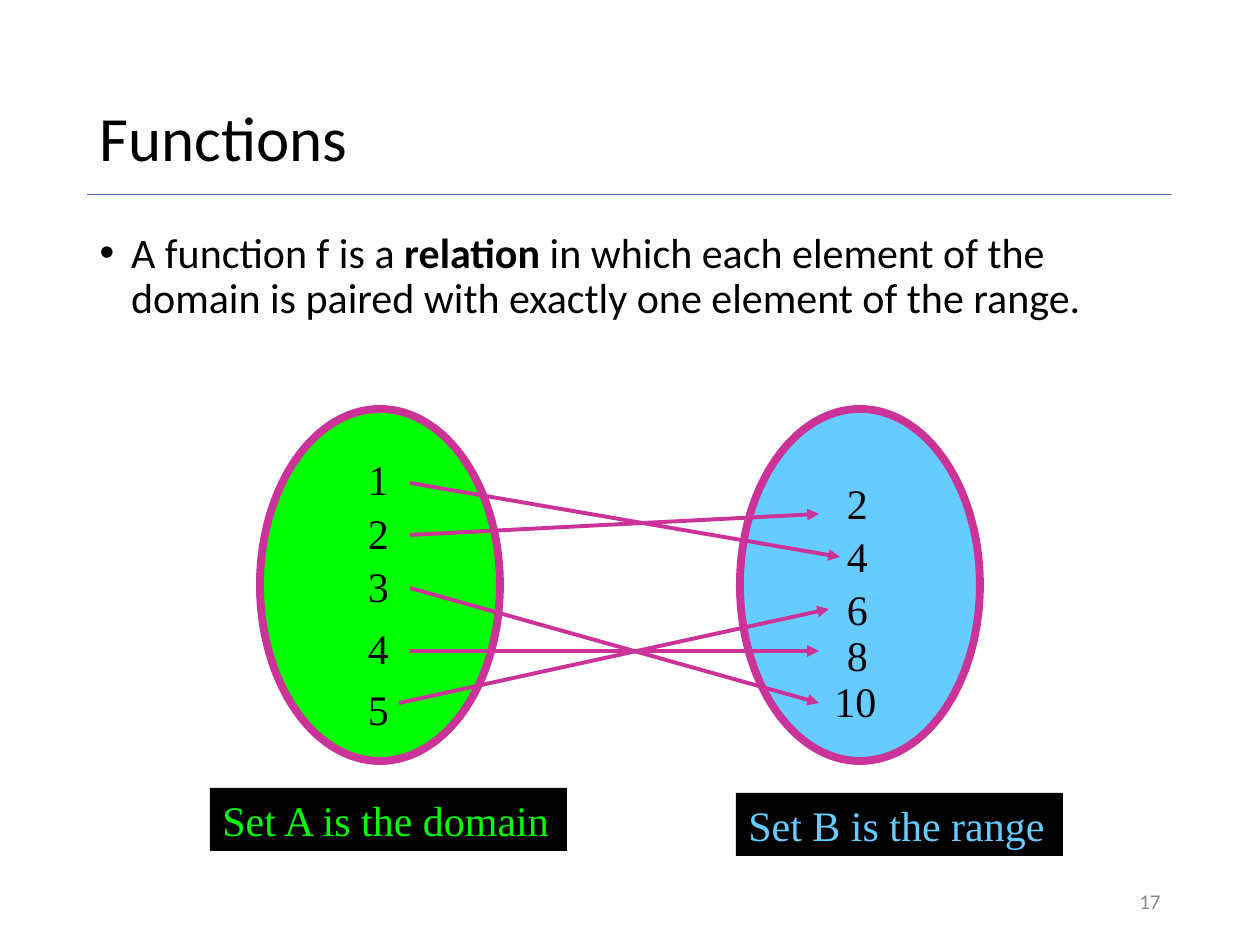
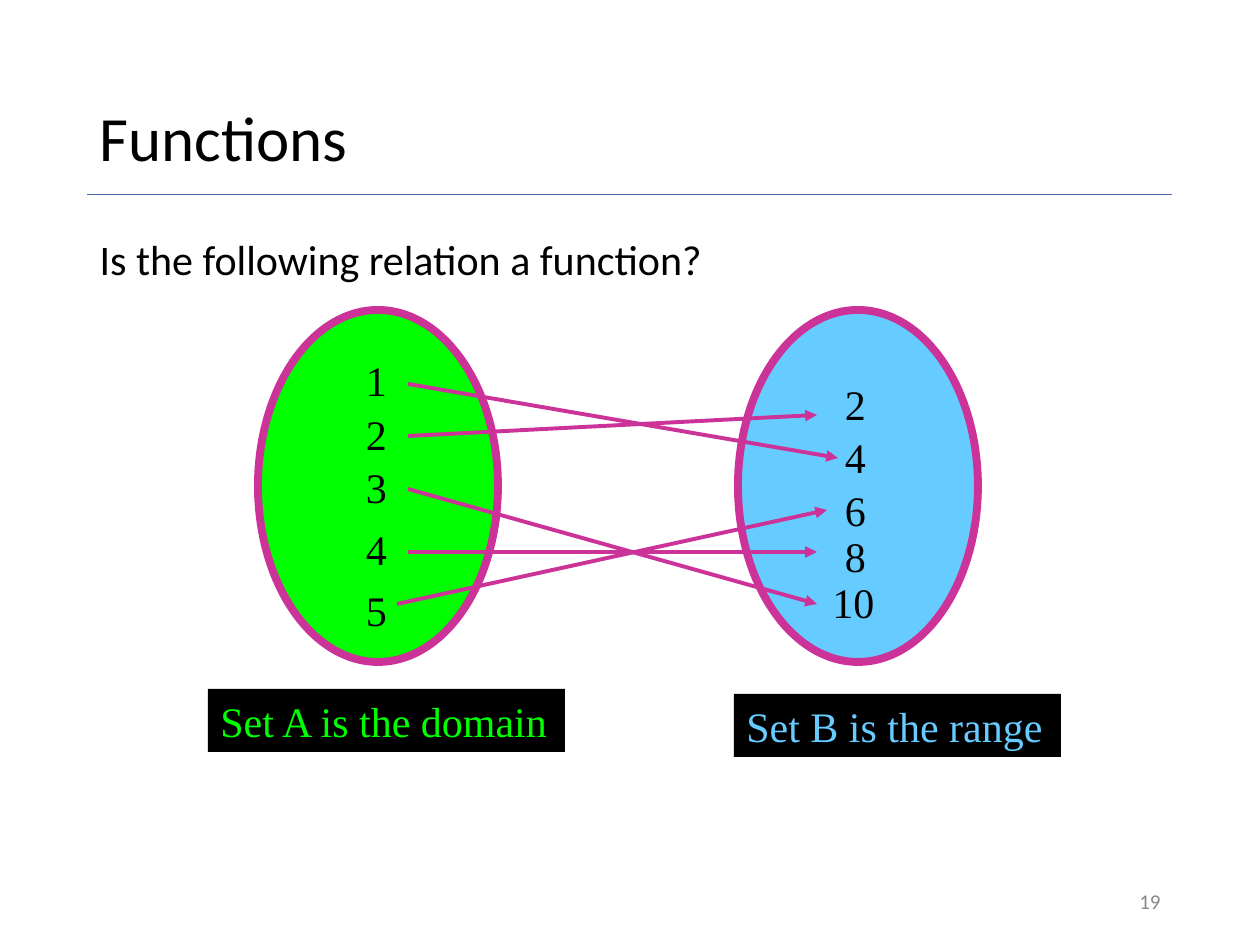
import pptx
import pptx.dml.color
import pptx.enum.shapes
import pptx.enum.text
import pptx.oxml.ns
import pptx.util
from lxml import etree

RGBColor = pptx.dml.color.RGBColor
SHAPE = pptx.enum.shapes.MSO_SHAPE
STRAIGHT = pptx.enum.shapes.MSO_CONNECTOR.STRAIGHT
ALIGN = pptx.enum.text.PP_ALIGN
ANCHOR = pptx.enum.text.MSO_ANCHOR
AUTO_SIZE = pptx.enum.text.MSO_AUTO_SIZE
Pt = pptx.util.Pt
qn = pptx.oxml.ns.qn

BLACK = RGBColor(0x00, 0x00, 0x00)
GREY = RGBColor(0x89, 0x89, 0x89)
RULE_BLUE = RGBColor(0x4A, 0x66, 0xAC)
GREEN = RGBColor(0x00, 0xFF, 0x00)
SKY = RGBColor(0x66, 0xCC, 0xFF)
MAGENTA = RGBColor(0xCC, 0x33, 0x99)

SANS = "Calibri"
SERIF = "Times New Roman"
PX_PER_INCH = 126
INDENT = Pt(18)

SLIDES = [
    {
        "title": "Functions",
        "body": [
            ("A function f is a ", False),
            ("relation", True),
            (" in which each element of the domain is paired with "
             "exactly one element of the range.", False),
        ],
        "bullet": True,
        "body_top": 226,
        "diagram_at": (210, 409),
        "number": "17",
    },
    {
        "title": "Functions",
        "body": [("Is the following relation a function?", False)],
        "bullet": False,
        "body_top": 233,
        "diagram_at": (208, 310),
        "number": "19",
    },
]

OVAL_SIZE = (240, 352)
SETS = [
    {
        "oval_left": 50,
        "fill": GREEN,
        "label": "Set A is the domain",
        "label_at": (0, 379, 357, 63),
        "center": 167,
        "members": [("1", 38), ("2", 92), ("3", 145), ("4", 207), ("5", 268)],
    },
    {
        "oval_left": 530,
        "fill": SKY,
        "label": "Set B is the range",
        "label_at": (526, 384, 327, 63),
        "center": 646,
        "members": [("2", 62), ("4", 115), ("6", 168), ("8", 214), ("10", 260)],
    },
]
MEMBER_WIDTHS = {1: 43, 2: 68}
MEMBER_HEIGHT = 63
ARROWS = [
    (200, 74, 630, 148),
    (200, 242, 609, 242),
    (200, 126, 609, 105),
    (189, 294, 619, 200),
    (200, 179, 609, 294),
]


def px(*lengths):
    return [round(length * pptx.util.Inches(1) / PX_PER_INCH) for length in lengths]


def place(shape, left, top, width, height):
    shape.left, shape.top, shape.width, shape.height = px(left, top, width, height)


def format_spans(para, font, size, color):
    para.space_before = Pt(0)
    for span in para.runs:
        span.font.name = font
        span.font.size = Pt(size)
        span.font.color.rgb = color


def write(shape, text, font, size, color):
    shape.text_frame.text = text
    para = shape.text_frame.paragraphs[0]
    format_spans(para, font, size, color)
    return para


def add_line(shapes, ends, color, width, arrow=False):
    line = shapes.add_connector(STRAIGHT, *px(*ends))
    line.line.color.rgb = color
    line.line.width = Pt(width)
    if arrow:
        outline = line.line._get_or_add_ln()
        etree.SubElement(outline, qn("a:tailEnd"), type="triangle")
    etree.SubElement(line._element.spPr, qn("a:effectLst"))


def add_filled(shapes, preset, bounds, fill):
    shape = shapes.add_shape(preset, *px(*bounds))
    shape.shadow.inherit = False
    shape.fill.solid()
    shape.fill.fore_color.rgb = fill
    shape.line.fill.background()
    return shape


def add_set(shapes, group, left, top):
    oval = add_filled(shapes, SHAPE.OVAL,
                      (left + group["oval_left"], top, *OVAL_SIZE), group["fill"])
    oval.line.color.rgb = MAGENTA
    oval.line.width = Pt(4.5)

    x, y, width, height = group["label_at"]
    label = add_filled(shapes, SHAPE.RECTANGLE,
                       (left + x, top + y, width, height), BLACK)
    label.text_frame.vertical_anchor = ANCHOR.TOP
    write(label, group["label"], SERIF, 24, group["fill"]).alignment = ALIGN.LEFT

    for member, y in group["members"]:
        width = MEMBER_WIDTHS[len(member)]
        x = left + group["center"] - width / 2
        box = shapes.add_textbox(*px(x, top + y, width, MEMBER_HEIGHT))
        box.text_frame.word_wrap = False
        write(box, member, SERIF, 24, BLACK)


def add_diagram(page, left, top):
    shapes = page.shapes.add_group_shape().shapes
    for group in SETS:
        add_set(shapes, group, left, top)
    for x1, y1, x2, y2 in ARROWS:
        ends = (left + x1, top + y1, left + x2, top + y2)
        add_line(shapes, ends, MAGENTA, 2.25, arrow=True)


def add_frame(page, title_text, number):
    add_line(page.shapes, (87, 194, 1172, 194), RULE_BLUE, 0.5)
    title = page.shapes.title
    place(title, 87, 50, 1086, 183)
    title.text_frame.vertical_anchor = ANCHOR.MIDDLE
    title.text_frame.auto_size = AUTO_SIZE.NONE
    para = write(title, title_text, SANS, 36, BLACK)
    para.alignment = ALIGN.LEFT
    para.line_spacing = 0.9

    box = page.shapes.add_textbox(*px(890, 876, 283, 50))
    box.text_frame.word_wrap = True
    box.text_frame.vertical_anchor = ANCHOR.MIDDLE
    write(box, number, SANS, 12, GREY).alignment = ALIGN.RIGHT


def fill_body(page, content):
    body = page.placeholders[1]
    place(body, 87, content["body_top"], 1086, 600)
    body.text_frame.auto_size = AUTO_SIZE.NONE
    para = body.text_frame.paragraphs[0]
    properties = para._p.get_or_add_pPr()
    indent = INDENT if content["bullet"] else 0
    properties.set("marL", str(indent))
    properties.set("indent", str(-indent))
    if content["bullet"]:
        etree.SubElement(properties, qn("a:buFont"), typeface="Arial")
        etree.SubElement(properties, qn("a:buChar"), char="•")
    else:
        etree.SubElement(properties, qn("a:buNone"))
    for text, bold in content["body"]:
        span = para.add_run()
        span.text = text
        span.font.bold = bold
    para.line_spacing = 0.9
    format_spans(para, SANS, 24, BLACK)


def main():
    deck = pptx.Presentation()
    deck.slide_width, deck.slide_height = px(1260, 945)
    for content in SLIDES:
        page = deck.slides.add_slide(deck.slide_layouts[1])
        add_frame(page, content["title"], content["number"])
        fill_body(page, content)
        add_diagram(page, *content["diagram_at"])
    deck.save("out.pptx")


if __name__ == "__main__":
    main()
